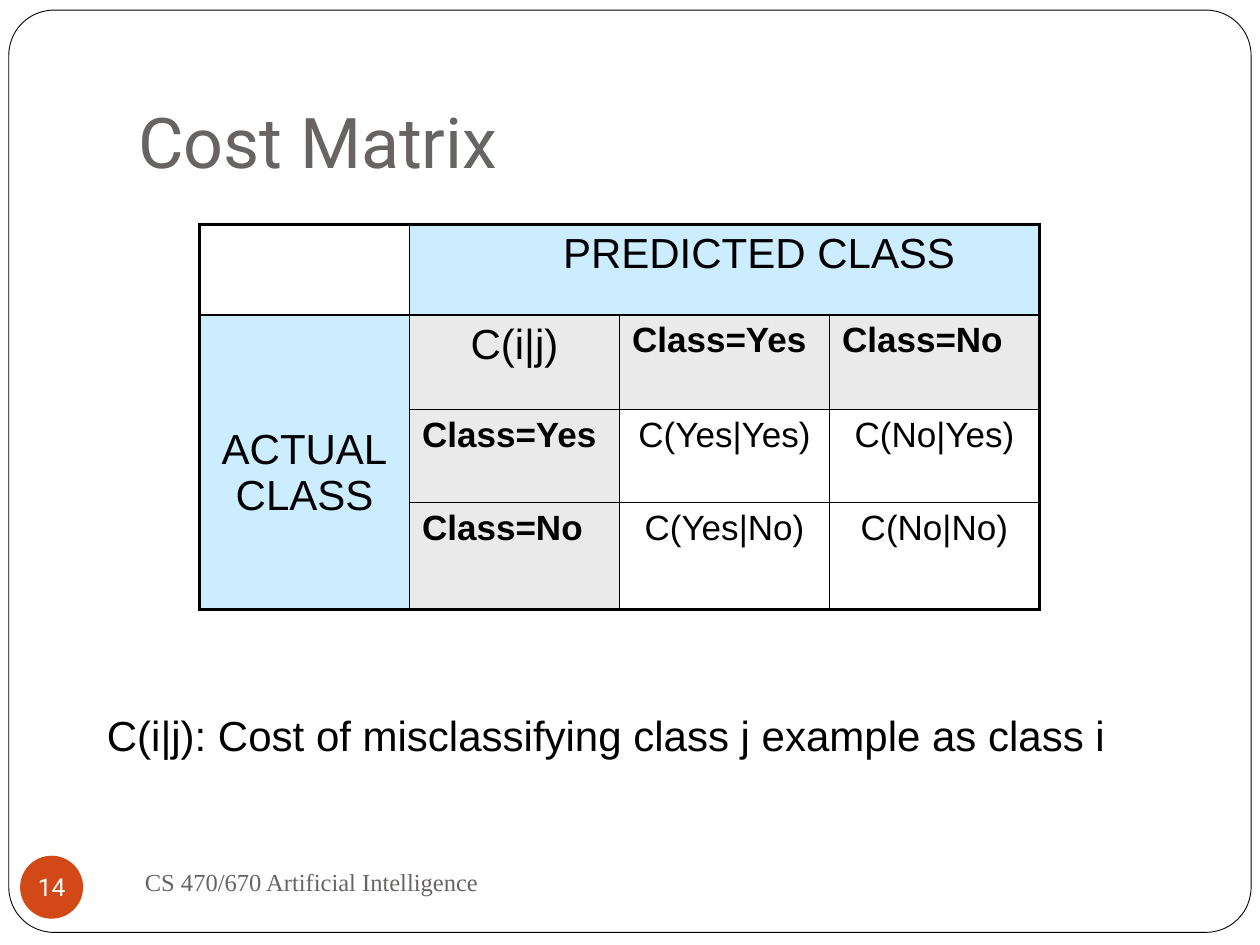
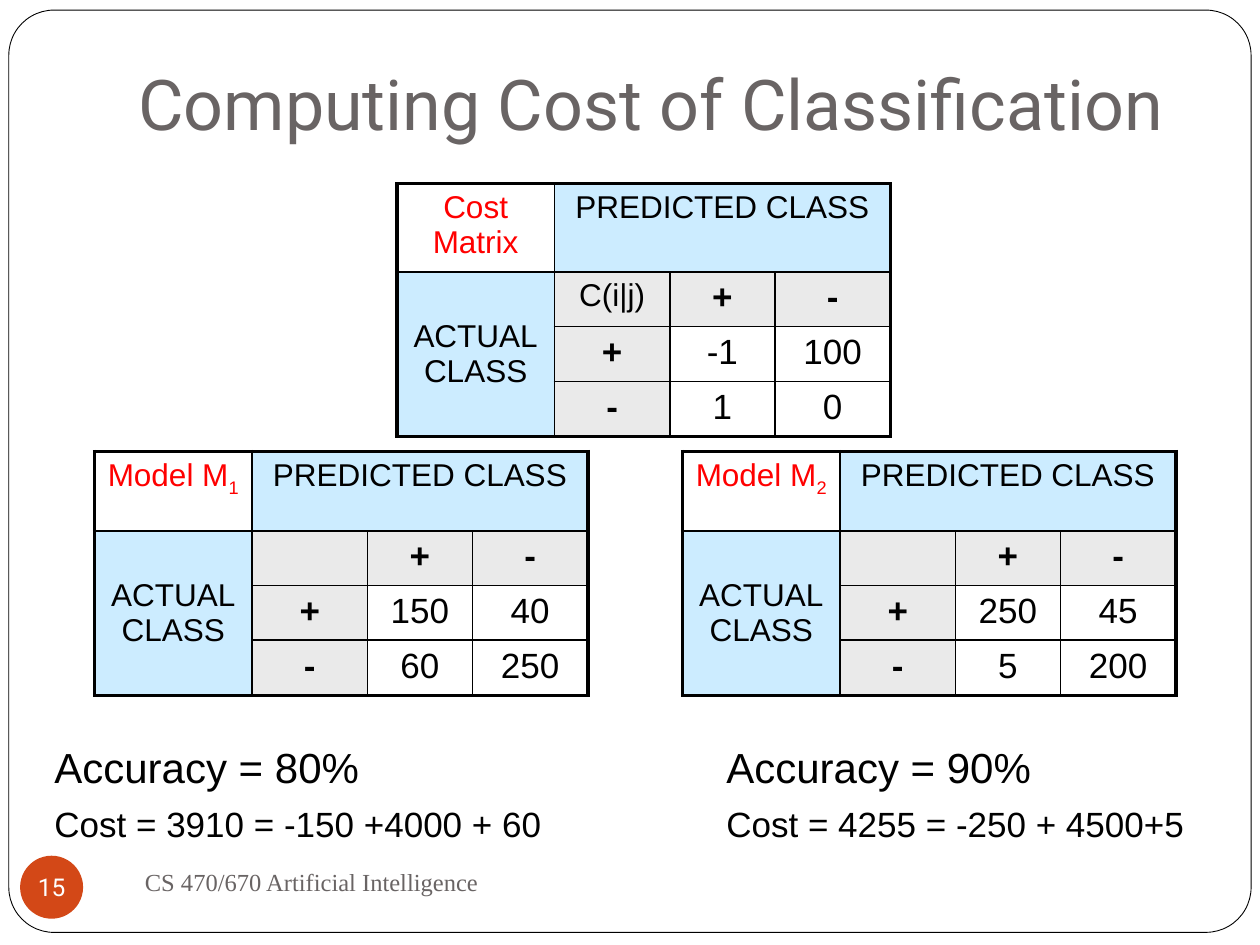
"""Build two slides on the cost matrix of a classifier."""
import pptx
import pptx.util
import pptx.dml.color
import pptx.enum.shapes
import pptx.enum.text
import pptx.oxml
import pptx.oxml.ns
import lxml.etree

Pt = pptx.util.Pt
RGB = pptx.dml.color.RGBColor
ALIGN = pptx.enum.text.PP_ALIGN
ANCHOR = pptx.enum.text.MSO_ANCHOR
SHAPE = pptx.enum.shapes.MSO_SHAPE

BLACK = RGB(0x00, 0x00, 0x00)
WHITE = RGB(0xFF, 0xFF, 0xFF)
GREY = RGB(0x69, 0x64, 0x64)
RED = RGB(0xFF, 0x00, 0x00)
ORANGE = RGB(0xD3, 0x48, 0x17)
BLUE = RGB(0xCC, 0xEC, 0xFF)
PALE = RGB(0xEA, 0xEA, 0xEA)

COLS, ROWS = 120, 90
SMALL = {"cols": (15, 11, 10, 11), "rows": (7.56, 4.92, 4.92, 5.28)}


def unit(count):
    """Turn grid steps, twelve to the inch, into a length."""
    return pptx.util.Inches(count / 12)


def style(para, size, color=BLACK, face="Arial", bold=False, align=ALIGN.LEFT):
    """Set font and alignment of a paragraph."""
    para.alignment = align
    font = para.font
    font.size, font.name, font.bold = Pt(size), face, bold
    font.color.rgb = color


def add_text(slide, box, lines, anchor=ANCHOR.TOP, **look):
    """Add a text box from (text, size) lines and return its frame."""
    frame = slide.shapes.add_textbox(*map(unit, box)).text_frame
    frame.word_wrap = True
    frame.vertical_anchor = anchor
    for i, (text, size) in enumerate(lines):
        para = frame.add_paragraph() if i else frame.paragraphs[0]
        para.text = text
        style(para, size, **look)
    return frame


def add_note(slide, box, lines):
    """Add body lines with a little space around each."""
    for para in add_text(slide, box, lines).paragraphs:
        para.space_before, para.space_after = Pt(2.4), Pt(4)


def add_shape(slide, kind, box, fill):
    """Add a flat filled shape."""
    shape = slide.shapes.add_shape(kind, *map(unit, box))
    shape.shadow.inherit = False
    shape.fill.solid()
    shape.fill.fore_color.rgb = fill
    return shape


def add_page(deck, title, number, top):
    """Add a slide with frame, title, footer and number disc."""
    slide = deck.slides.add_slide(deck.slide_layouts[6])
    frame = add_shape(slide, SHAPE.ROUNDED_RECTANGLE,
                      (0.84, 0.96, COLS - 1.68, ROWS - 2.16), WHITE)
    frame.adjustments[0] = 0.049
    frame.line.color.rgb = BLACK
    frame.line.width = Pt(0.5)
    head = add_text(slide, (12, top, 102, 15), [(title, 40)],
                    ANCHOR.BOTTOM, color=GREY, face="Roboto")
    head.margin_bottom = unit(1.2)
    foot = add_text(slide, (12, 81, 52, 6),
                    [("CS 470/670 Artificial Intelligence", 14)],
                    ANCHOR.MIDDLE, color=GREY, face="Times New Roman")
    foot.margin_left = unit(1.8)
    disc = add_shape(slide, SHAPE.OVAL, (1.92, 81.5, 6, 6), ORANGE)
    disc.line.fill.background()
    text = disc.text_frame
    text.margin_left = text.margin_right = 0
    text.margin_top = text.margin_bottom = 0
    text.word_wrap = False
    text.vertical_anchor = ANCHOR.MIDDLE
    text.paragraphs[0].text = str(number)
    style(text.paragraphs[0], 14, WHITE, "Roboto", align=ALIGN.CENTER)
    return slide


def add_edge(cell, side, width):
    """Draw one black border of a cell."""
    props = cell._tc.get_or_add_tcPr()
    line = lxml.etree.SubElement(props, pptx.oxml.ns.qn(f"a:ln{side}"),
                                 w=str(Pt(width)))
    fill = lxml.etree.SubElement(line, pptx.oxml.ns.qn("a:solidFill"))
    lxml.etree.SubElement(fill, pptx.oxml.ns.qn("a:srgbClr"), val=str(BLACK))


def paint(cell, row, col):
    """Give a cell thick outer edges, thin inner ones and its fill."""
    outer = {"L": col == 0, "R": col + cell.span_width == 4,
             "T": row == 0, "B": row + cell.span_height == 4}
    for side, thick in outer.items():
        add_edge(cell, side, 2.25 if thick else 1)
    if (row == 0) != (col == 0):
        color = BLUE
    elif 1 in (row, col):
        color = PALE
    else:
        cell.fill.background()
        return
    cell.fill.solid()
    cell.fill.fore_color.rgb = color


def add_matrix(slide, spot, cols, rows, corner, key, names, values,
               size=18, align=ALIGN.CENTER):
    """Add a two-class matrix of actual against predicted and return it."""
    shape = slide.shapes.add_table(4, 4, *map(unit, (*spot, sum(cols), sum(rows))))
    table = shape.table
    table.first_row = table.horz_banding = False
    for col, width in zip(table.columns, cols):
        col.width = unit(width)
    for row, height in zip(table.rows, rows):
        row.height = unit(height)
    table.cell(0, 1).merge(table.cell(0, 3))
    table.cell(1, 0).merge(table.cell(3, 0))
    grid = [[corner, "PREDICTED CLASS", "", ""],
            ["ACTUAL\vCLASS", key, *names],
            *(["", name, *line] for name, line in zip(names, values))]
    for r, line in enumerate(grid):
        for c, text in enumerate(line):
            cell = table.cell(r, c)
            paint(cell, r, c)
            para = cell.text_frame.paragraphs[0]
            para.text = text
            head = r == 0 or c == 0 or r == c == 1
            label = not head and 1 in (r, c)
            style(para, size if head else 20, RED if r == c == 0 else BLACK,
                  bold=label, align=align if label else ALIGN.CENTER)
    table.cell(1, 0).vertical_anchor = ANCHOR.MIDDLE
    return table


def add_model(slide, left, index, values, lines):
    """Add a model's matrix with its scores below."""
    table = add_matrix(slide, (left, 43), **SMALL, corner="Model M", key="",
                       names="+-", values=values)
    run = table.cell(0, 0).text_frame.paragraphs[0].add_run()
    run.text = index
    run._r.get_or_add_rPr().set("baseline", "-25000")
    note = 4 if left < COLS / 2 else 68
    add_note(slide, (note, 70, 54 if note == 4 else 48, 13), lines)


def main():
    """Build and save the deck."""
    deck = pptx.Presentation()
    deck.slide_width, deck.slide_height = unit(COLS), unit(ROWS)

    slide = add_page(deck, "Cost Matrix", 14, 3.6)
    table = add_matrix(slide, (19, 21.36), (20,) * 4, (8.64, 9, 8.88, 10.2),
                       "", "C(i|j)", ("Class=Yes", "Class=No"),
                       (("C(Yes|Yes)", "C(No|Yes)"), ("C(Yes|No)", "C(No|No)")),
                       24, ALIGN.LEFT)
    table.cell(0, 1).margin_left = unit(7.8)
    table.cell(1, 0).margin_top = unit(2.6)
    add_note(slide, (9, 67, 103, 12),
             [("C(i|j): Cost of misclassifying class j example as class i", 24)])

    slide = add_page(deck, "Computing Cost of Classification", 15, 0)
    add_matrix(slide, (37.8, 17.5), **SMALL, corner="Cost Matrix", key="C(i|j)",
               names="+-", values=(("-1", "100"), ("1", "0")))
    add_model(slide, 9, "1", (("150", "40"), ("60", "250")),
              [("Accuracy = 80%", 24), ("Cost = 3910 = -150 +4000 + 60", 20)])
    add_model(slide, 65, "2", (("250", "45"), ("5", "200")),
              [("Accuracy = 90%", 24), ("Cost = 4255 = -250 + 4500+5", 20)])
    deck.save("out.pptx")


if __name__ == "__main__":
    main()
